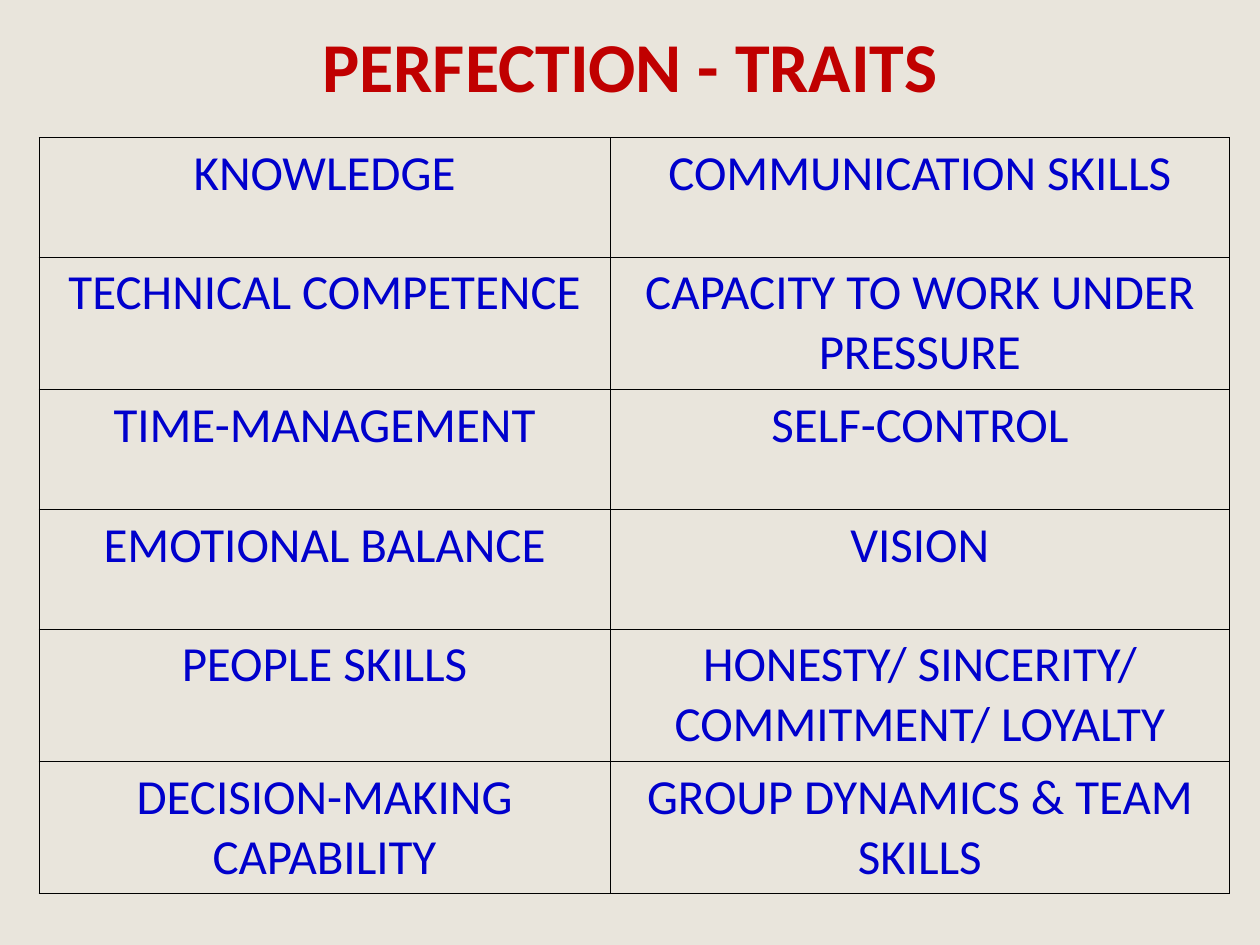
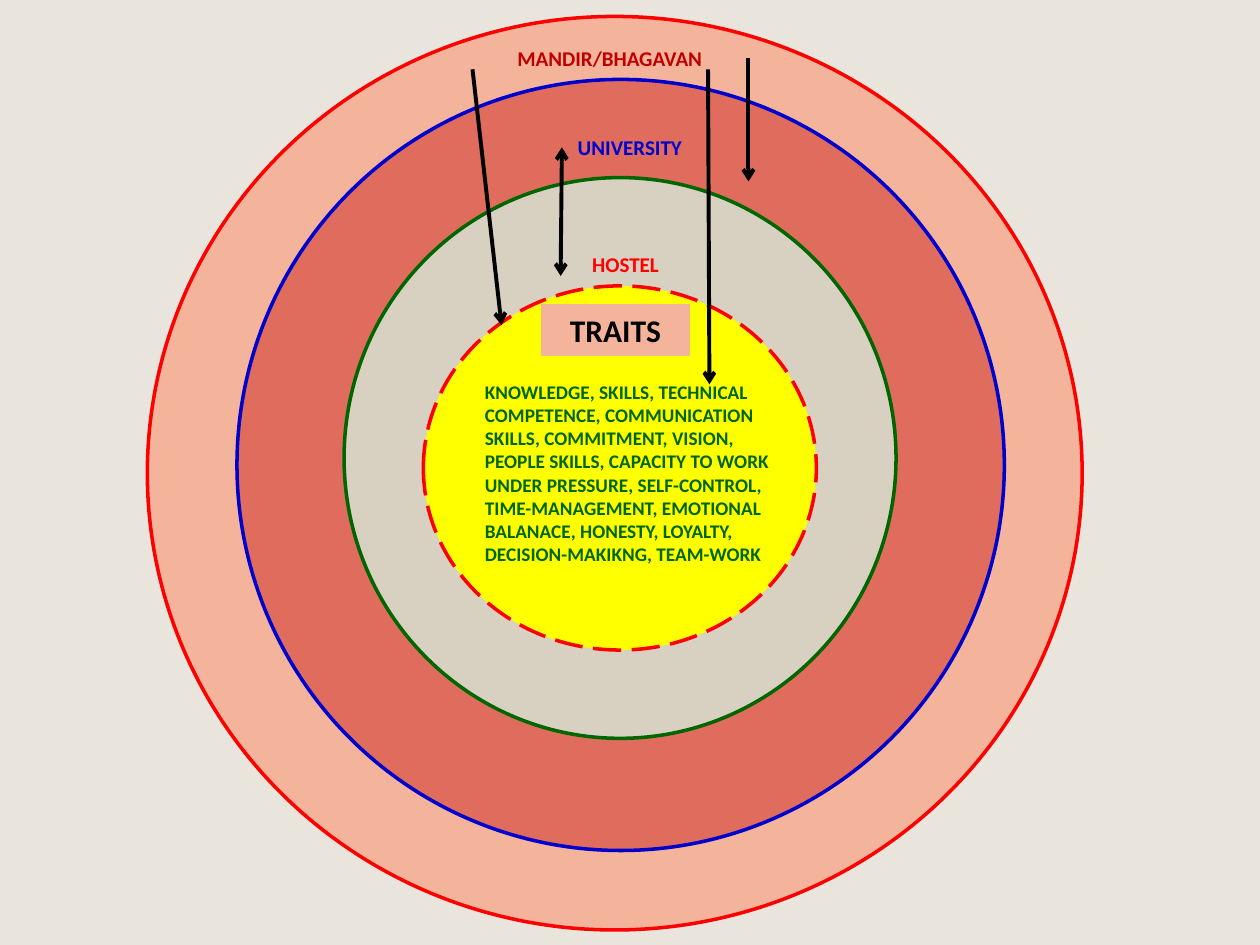
from lxml import etree
from pptx import Presentation
from pptx.dml.color import RGBColor
from pptx.enum.dml import MSO_LINE
from pptx.enum.shapes import MSO_CONNECTOR, MSO_SHAPE
from pptx.enum.text import MSO_ANCHOR, PP_ALIGN
from pptx.oxml.ns import qn
from pptx.util import Pt

OVAL, RECT = MSO_SHAPE.OVAL, MSO_SHAPE.RECTANGLE
STRAIGHT = MSO_CONNECTOR.STRAIGHT
LONG_DASH = MSO_LINE.LONG_DASH
LEFT, CENTER = PP_ALIGN.LEFT, PP_ALIGN.CENTER
MIDDLE = MSO_ANCHOR.MIDDLE

FONT = "Calibri"
SAND = RGBColor(0xE9, 0xE5, 0xDC)
DARK_RED = RGBColor(0xC0, 0x00, 0x00)
RED = RGBColor(0xFF, 0x00, 0x00)
BLUE = RGBColor(0x00, 0x00, 0xCC)
GREEN = RGBColor(0x00, 0x66, 0x00)
PEACH = RGBColor(0xF4, 0xB3, 0x9B)
CORAL = RGBColor(0xDF, 0x6C, 0x5D)
STONE = RGBColor(0xD8, 0xD0, 0xC0)
YELLOW = RGBColor(0xFF, 0xFF, 0x00)
BLACK = RGBColor(0x00, 0x00, 0x00)

TRAITS = [
    ("KNOWLEDGE", "COMMUNICATION SKILLS"),
    ("TECHNICAL COMPETENCE", "CAPACITY TO WORK UNDER PRESSURE"),
    ("TIME-MANAGEMENT", "SELF-CONTROL"),
    ("EMOTIONAL BALANCE", "VISION"),
    ("PEOPLE SKILLS", "HONESTY/ SINCERITY/ COMMITMENT/ LOYALTY"),
    ("DECISION-MAKING CAPABILITY", "GROUP DYNAMICS & TEAM SKILLS"),
]
COLUMN_WIDTHS = (326.2, 354.2)
ROW_HEIGHTS = (68.4, 74.2, 68.4, 68.4, 75.6, 74.2)

RINGS = [
    ((84.2, 9.4, 534.2, 522), PEACH, RED, None),
    ((135.4, 45.4, 438.5, 440.6), CORAL, BLUE, None),
    ((196.6, 101.5, 315.4, 320.4), STONE, GREEN, None),
    ((241.9, 163.4, 224.6, 208.1), YELLOW, RED, LONG_DASH),
]
RING_LABELS = [
    ("MANDIR/BHAGAVAN", (258.5, 22.3, 180, 21.6), DARK_RED),
    ("UNIVERSITY", (303.8, 73.4, 112.3, 21.6), BLUE),
    ("HOSTEL", (309.6, 140.4, 95.8, 21.6), RED),
]
ARROWS = [
    ((427.7, 33.1, 427.7, 103.7), ("tailEnd",)),
    ((321.1, 84.2, 320.4, 157.7), ("headEnd", "tailEnd")),
    ((270, 39.6, 286.6, 185.8), ("tailEnd",)),
    ((404.6, 39.6, 405.4, 219.6), ("tailEnd",)),
]
CORE_TEXT = (
    "KNOWLEDGE, SKILLS, TECHNICAL COMPETENCE, COMMUNICATION SKILLS, "
    "COMMITMENT, VISION, PEOPLE SKILLS, CAPACITY TO WORK UNDER PRESSURE, "
    "SELF-CONTROL, TIME-MANAGEMENT, EMOTIONAL BALANACE, HONESTY, LOYALTY, "
    "DECISION-MAKIKNG, TEAM-WORK"
)


def points(values):
    """Convert plain numbers to lengths in points."""
    return [Pt(v) for v in values]


def write(tf, text, size, color, bold=True, align=CENTER):
    """Fill a text frame with one formatted paragraph."""
    tf.word_wrap = True
    p = tf.paragraphs[0]
    p.text = text
    p.alignment = align
    p.font.name = FONT
    p.font.size = Pt(size)
    p.font.bold = bold
    p.font.color.rgb = color


def add_title(slide, text):
    """Place and format the slide title."""
    title = slide.shapes.title
    title.left, title.top, title.width, title.height = points((36, 11.5, 648, 50.4))
    title.text_frame.vertical_anchor = MIDDLE
    write(title.text_frame, text, 40, DARK_RED)


def add_borders(cell):
    """Draw a thin black line on every side of a table cell."""
    tcPr = cell._tc.get_or_add_tcPr()
    for i, side in enumerate(("lnL", "lnR", "lnT", "lnB")):
        ln = etree.Element(qn(f"a:{side}"), w=str(Pt(0.45)))
        fill = etree.SubElement(ln, qn("a:solidFill"))
        etree.SubElement(fill, qn("a:srgbClr"), val=str(BLACK))
        tcPr.insert(i, ln)


def add_trait_table(slide):
    """Add the two-column grid of traits."""
    box = points((22.3, 78.5, sum(COLUMN_WIDTHS), sum(ROW_HEIGHTS)))
    table = slide.shapes.add_table(len(TRAITS), len(COLUMN_WIDTHS), *box).table
    table.first_row = table.horz_banding = False
    for column, width in zip(table.columns, COLUMN_WIDTHS):
        column.width = Pt(width)
    for row, height, texts in zip(table.rows, ROW_HEIGHTS, TRAITS):
        row.height = Pt(height)
        for cell, text in zip(row.cells, texts):
            cell.fill.background()
            add_borders(cell)
            write(cell.text_frame, text, 28, BLUE, bold=False)


def add_shape(slide, kind, box, fill, line, width, dash=None):
    """Add a filled, outlined shape without a shadow."""
    sp = slide.shapes.add_shape(kind, *points(box))
    sp.shadow.inherit = False
    sp.fill.solid()
    sp.fill.fore_color.rgb = fill
    sp.line.color.rgb = line
    sp.line.width = Pt(width)
    if dash:
        sp.line.dash_style = dash
    return sp


def add_text(slide, text, box, size, color, align=CENTER):
    """Add a bold text box."""
    sp = slide.shapes.add_textbox(*points(box))
    write(sp.text_frame, text, size, color, align=align)


def add_arrow(slide, ends, heads):
    """Add a straight black connector with open arrowheads."""
    line = slide.shapes.add_connector(STRAIGHT, *points(ends))
    line.line.color.rgb = BLACK
    line.line.width = Pt(2.25)
    ln = line.get_or_add_ln()
    for head in heads:
        etree.SubElement(ln, qn(f"a:{head}"), type="arrow")
    etree.SubElement(line._element.spPr, qn("a:effectLst"))


def add_traits_slide(prs):
    """Build the slide that tabulates the traits."""
    slide = prs.slides.add_slide(prs.slide_layouts[5])
    add_title(slide, "PERFECTION - TRAITS")
    add_trait_table(slide)


def add_rings_slide(prs):
    """Build the slide of nested rings around the traits."""
    slide = prs.slides.add_slide(prs.slide_layouts[6])
    for box, fill, line, dash in RINGS:
        add_shape(slide, OVAL, box, fill, line, 2, dash)
    for text, box, color in RING_LABELS:
        add_text(slide, text, box, 12, color)
    add_text(slide, CORE_TEXT, (270, 213.8, 180, 126), 11, GREEN, LEFT)
    for ends, heads in ARROWS:
        add_arrow(slide, ends, heads)
    sp = add_shape(slide, RECT, (309.6, 174.2, 84.2, 28.8), PEACH, PEACH, 0.75)
    write(sp.text_frame, "TRAITS", 18, BLACK)


def main():
    """Build and save the presentation."""
    prs = Presentation()
    prs.slide_width, prs.slide_height = Pt(720), Pt(540)
    background = prs.slide_master.background.fill
    background.solid()
    background.fore_color.rgb = SAND
    add_traits_slide(prs)
    add_rings_slide(prs)
    prs.save("out.pptx")


main()
